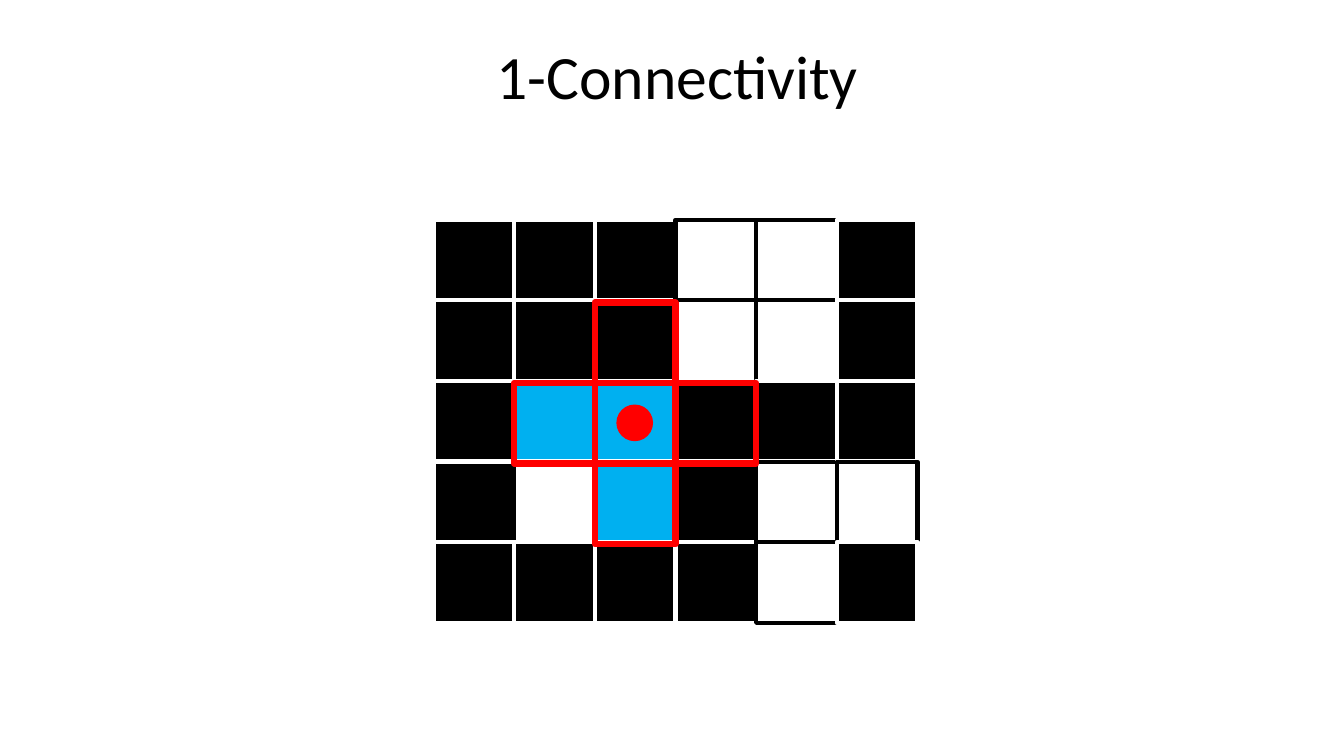
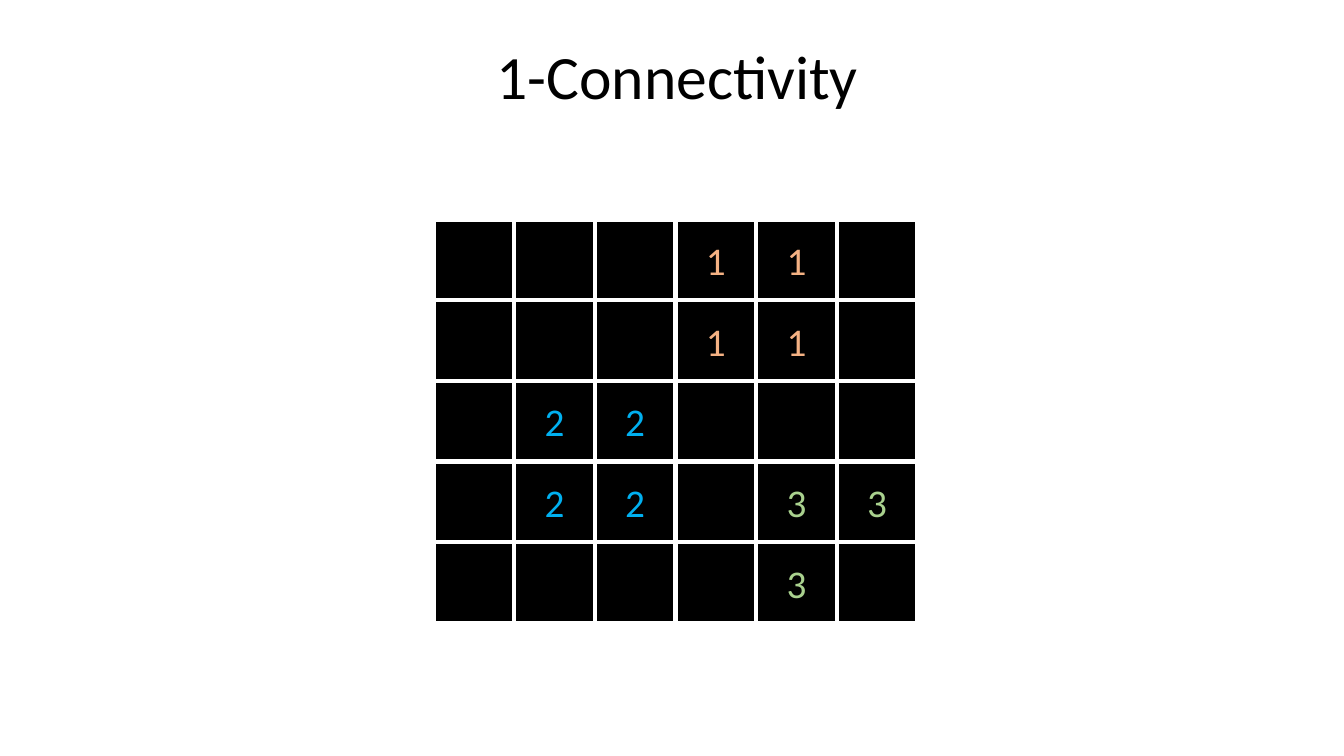
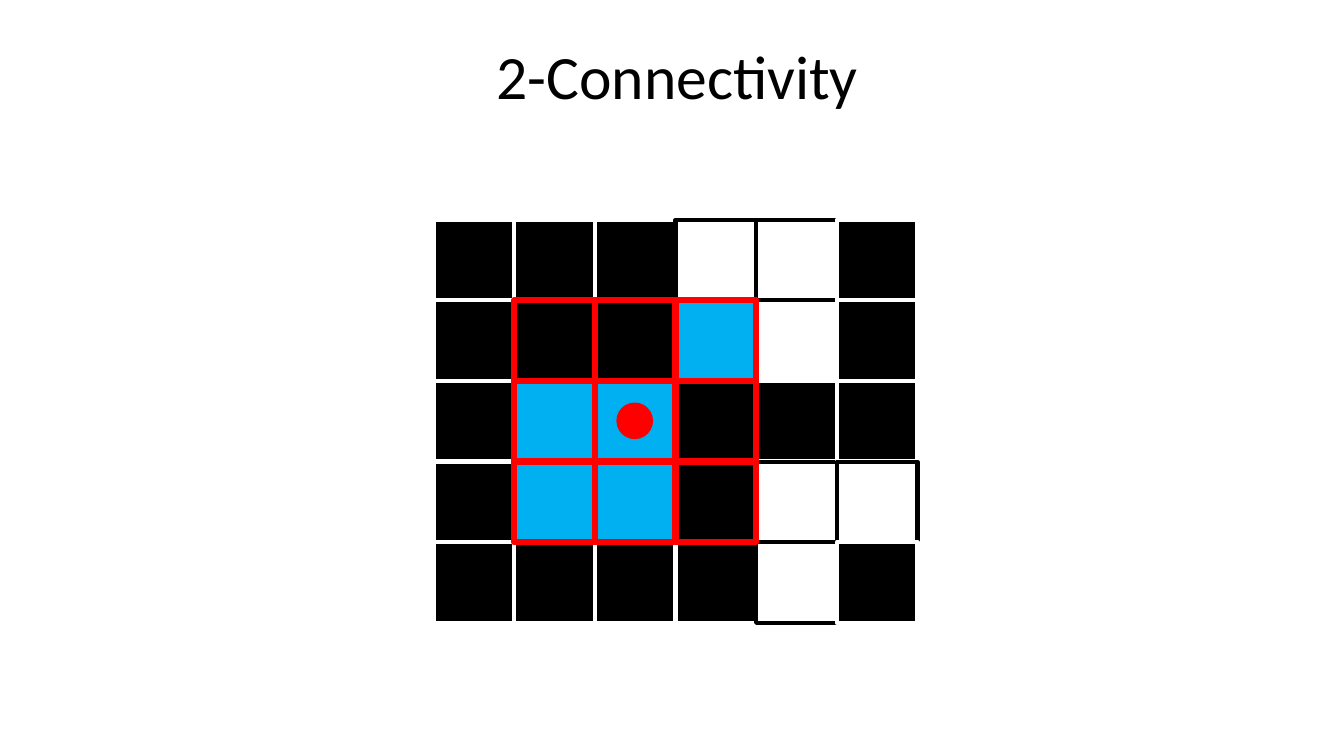
from pptx import Presentation
from pptx.dml.color import RGBColor
from pptx.enum.shapes import MSO_SHAPE
from pptx.enum.text import MSO_ANCHOR, PP_ALIGN
from pptx.util import Emu, Pt

RECTANGLE = MSO_SHAPE.RECTANGLE
OVAL = MSO_SHAPE.OVAL
CENTER = PP_ALIGN.CENTER
MIDDLE = MSO_ANCHOR.MIDDLE

PX = 9144  # 100 px to the inch
TITLE_ONLY = 5

BLACK, WHITE, BLUE, RED = "000000", "FFFFFF", "00B0F0", "FF0000"
LABEL_COLORS = {"1": "F4B183", "2": BLUE, "3": "A9D18E"}

# Cell code: (fill, line)
CELL_STYLES = {
    "#": (BLACK, WHITE),
    ".": (WHITE, BLACK),
    "b": (BLUE, WHITE),
    "B": (BLUE, BLACK),
}

CELL = 80
GRID_LEFT, GRID_TOP = 430, 218
DOT = 35
CENTER_COLUMN, CENTER_ROW = 2, 2

# Left half row by row, then the other columns one by one
DRAW_ORDER = [(column, row) for row in range(5) for column in range(3)]
DRAW_ORDER += [(column, row) for column in range(3, 6) for row in range(5)]

CROSS = [(0, -1), (-1, 0), (0, 0), (1, 0), (0, 1)]
CORNERS = [(1, -1), (-1, -1), (1, 1), (-1, 1)]

ONE_NEIGHBOURS = ["###..#", "###..#", "#bb###", "#.b#..", "####.#"]
ONE_LABELS = ["###11#", "###11#", "#22###", "#22#33", "####3#"]
TWO_NEIGHBOURS = ["###..#", "###B.#", "#bb###", "#Bb#..", "####.#"]


def px(*lengths):
    return [Emu(length * PX) for length in lengths]


def rgb(color):
    return RGBColor.from_string(color)


class Deck:
    """Holds the shared style and the slide being built."""

    def __init__(self):
        self.prs = Presentation()
        self.prs.slide_width, self.prs.slide_height = px(1333, 750)
        self.slide = None

    def new_slide(self, heading):
        layout = self.prs.slide_layouts[TITLE_ONLY]
        self.slide = self.prs.slides.add_slide(layout)
        title = self.slide.shapes.title
        title.left, title.top, title.width, title.height = px(97, 6, 1150, 145)
        self.set_text(title, heading, 44, BLACK)
        title.text_frame.paragraphs[0].line_spacing = 0.9

    def set_text(self, shape, words, size, color):
        frame = shape.text_frame
        frame.text = words
        frame.vertical_anchor = MIDDLE
        paragraph = frame.paragraphs[0]
        paragraph.alignment = CENTER
        font = paragraph.runs[0].font
        for name, value in {"name": "Calibri", "size": Pt(size)}.items():
            setattr(font, name, value)
        font.color.rgb = rgb(color)

    def outlined(self, group, kind, box, fill, line, weight):
        """Adds a shape to a group; a fill of None leaves it hollow."""
        shape = group.shapes.add_shape(kind, *px(*box))
        shape.shadow.inherit = False
        if fill:
            shape.fill.solid()
            shape.fill.fore_color.rgb = rgb(fill)
        else:
            shape.fill.background()
        shape.line.color.rgb = rgb(line)
        shape.line.width = Pt(weight)
        return shape

    def cell_box(self, column, row, shift=0):
        return (GRID_LEFT + column * CELL, GRID_TOP + row * CELL + shift, CELL, CELL)

    def pixel_grid(self, rows):
        grid = self.slide.shapes.add_group_shape()
        for column, row in DRAW_ORDER:
            code = rows[row][column]
            fill, line = CELL_STYLES.get(code, CELL_STYLES["#"])
            cell = self.outlined(
                grid, RECTANGLE, self.cell_box(column, row), fill, line, 3)
            if code in LABEL_COLORS:
                self.set_text(cell, code, 28, LABEL_COLORS[code])

    def neighbourhood(self, offsets, shift=0):
        """Frames the neighbours of the centre cell and marks it with a dot."""
        frames = self.slide.shapes.add_group_shape()
        for across, down in offsets:
            box = self.cell_box(CENTER_COLUMN + across, CENTER_ROW + down, shift)
            self.outlined(frames, RECTANGLE, box, None, RED, 4.5)
        left, top, _, _ = self.cell_box(CENTER_COLUMN, CENTER_ROW, shift)
        inset = (CELL - DOT) // 2
        dot_box = (left + inset, top + inset, DOT, DOT)
        self.outlined(frames, OVAL, dot_box, RED, RED, 1)


def main():
    deck = Deck()

    deck.new_slide("1-Connectivity")
    deck.pixel_grid(ONE_NEIGHBOURS)
    deck.neighbourhood(CROSS, shift=2)

    deck.new_slide("1-Connectivity")
    deck.pixel_grid(ONE_LABELS)

    deck.new_slide("2-Connectivity")
    deck.pixel_grid(TWO_NEIGHBOURS)
    deck.neighbourhood(CROSS + CORNERS)

    deck.prs.save("out.pptx")


if __name__ == "__main__":
    main()
